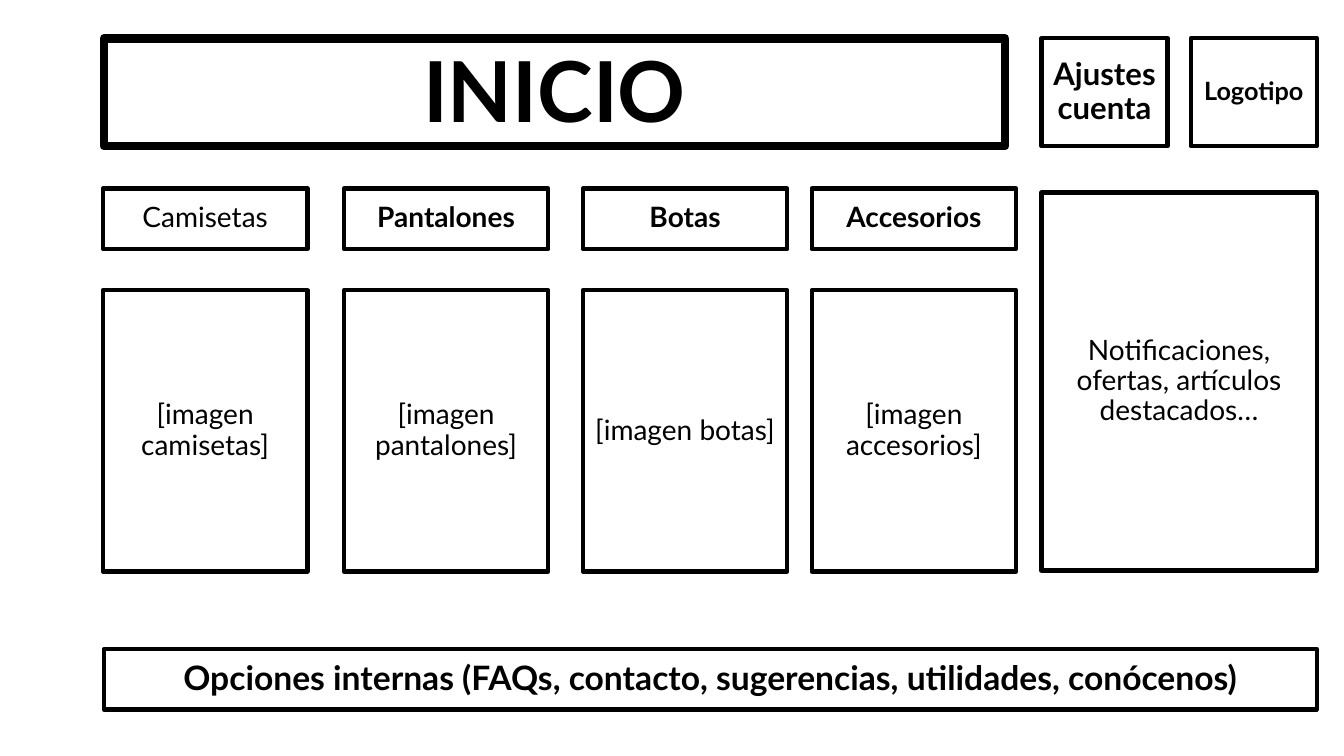
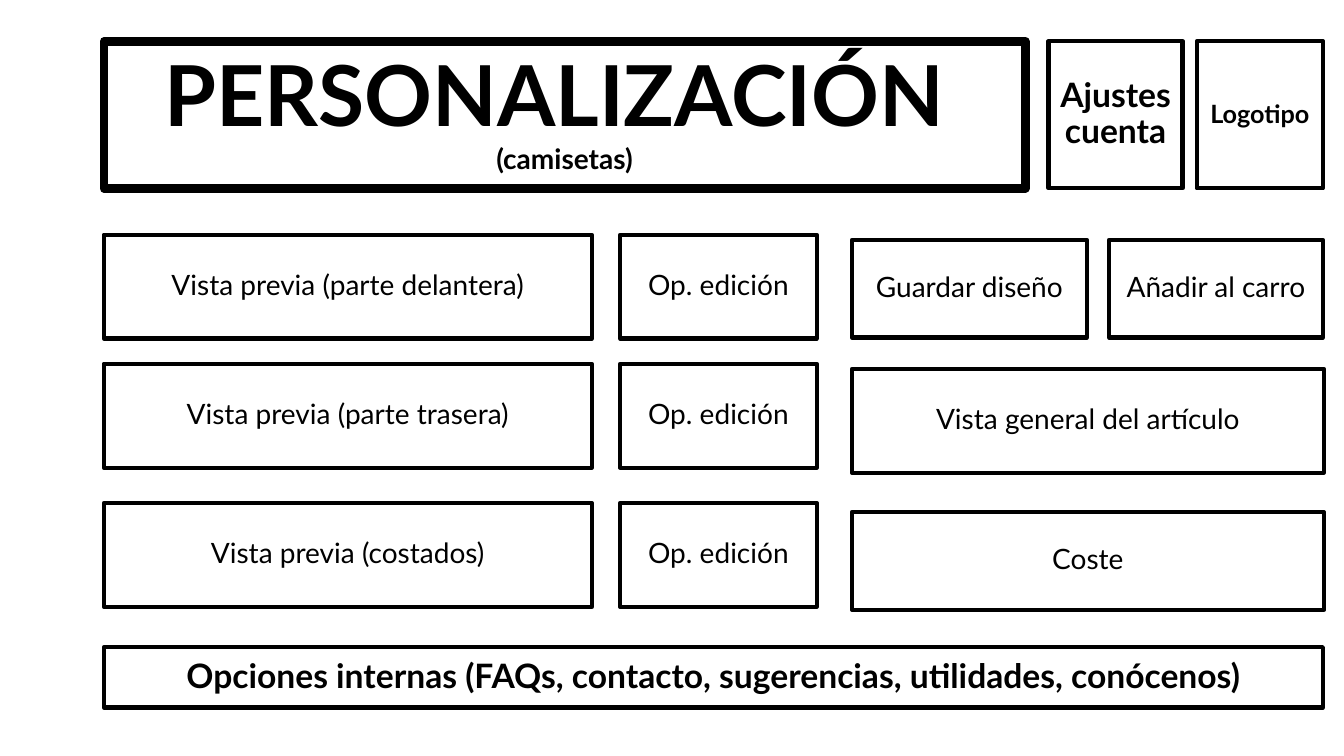
from typing import NamedTuple

from pptx import Presentation
from pptx.dml.color import RGBColor
from pptx.enum.shapes import MSO_SHAPE as Preset
from pptx.enum.text import MSO_ANCHOR as Anchor, MSO_AUTO_SIZE as AutoSize, PP_ALIGN as Align
from pptx.util import Inches, Pt

BLACK = RGBColor(0x00, 0x00, 0x00)
WHITE = RGBColor(0xFF, 0xFF, 0xFF)
FONT = "Lato"
TITLE_SIZE, BODY_SIZE, FOOTER_SIZE = 60, 20, 24
TITLE_BORDER, BOX_BORDER = 6, 3
LEFT_MARGIN = 1.03
FOOTER_TEXT = "Opciones internas (FAQs, contacto, sugerencias, utilidades, conócenos)"


class Span(NamedTuple):
    """A column or row of the grid: start and length in inches."""
    start: float
    length: float


class Label(NamedTuple):
    text: str
    size: float = BODY_SIZE
    bold: bool = False


class Box(NamedTuple):
    column: Span
    row: Span
    label: Label


class Header(NamedTuple):
    row: Span
    title_width: float
    title: list[Label]
    anchor: Anchor
    account_column: Span
    account_size: float
    logo_column: Span


class Product(NamedTuple):
    name: str
    bold: bool
    image: str


def place(shape, column: Span, row: Span, border: float) -> None:
    """Put a shape on the grid and give it its border."""
    shape.left, shape.width = Inches(column.start), Inches(column.length)
    shape.top, shape.height = Inches(row.start), Inches(row.length)
    shape.line.color.rgb = BLACK
    shape.line.width = Pt(border)


def write(shape, labels: list[Label], anchor: Anchor, space_before: float) -> None:
    """Write one centred paragraph, with a line per label."""
    frame = shape.text_frame
    frame.word_wrap = True
    frame.auto_size = AutoSize.NONE
    frame.vertical_anchor = anchor
    paragraph = frame.paragraphs[0]
    paragraph.alignment = Align.CENTER
    paragraph.line_spacing = 0.9
    paragraph.space_before = Pt(space_before)
    for index, label in enumerate(labels):
        if index:
            paragraph.add_line_break()
        run = paragraph.add_run()
        run.text = label.text
        run.font.name = FONT
        run.font.size = Pt(label.size)
        run.font.bold = label.bold
        run.font.color.rgb = BLACK


def draw_box(slide, box: Box) -> None:
    shape = slide.shapes.add_shape(Preset.RECTANGLE, 0, 0, 0, 0)
    place(shape, box.column, box.row, BOX_BORDER)
    shape.shadow.inherit = False
    shape.fill.background()
    write(shape, [box.label], Anchor.MIDDLE, space_before=10)


def add_screen(presentation, header: Header, footer_top: float, boxes: list[Box]) -> None:
    """Add a wireframe: title, account and logo boxes, content, footer band."""
    slide = presentation.slides.add_slide(presentation.slide_layouts.get_by_name("Title Only"))
    title = slide.shapes.title
    place(title, Span(LEFT_MARGIN, header.title_width), header.row, TITLE_BORDER)
    title.fill.solid()
    title.fill.fore_color.rgb = WHITE
    write(title, header.title, header.anchor, space_before=0)

    right_edge = header.logo_column.start + header.logo_column.length
    frame_boxes = [
        Box(header.account_column, header.row, Label("Ajustes cuenta", header.account_size, True)),
        Box(header.logo_column, header.row, Label("Logotipo", 18, True)),
        Box(Span(LEFT_MARGIN, right_edge - LEFT_MARGIN), Span(footer_top, 0.6),
            Label(FOOTER_TEXT, FOOTER_SIZE, True)),
    ]
    for box in frame_boxes + boxes:
        draw_box(slide, box)


def add_home(presentation) -> None:
    # Product columns: a button above an image area
    columns = [Span(left, 2.03) for left in (1.02, 3.41, 5.78, 8.05)]
    button_row, image_row = Span(1.87, 0.6), Span(2.88, 2.79)
    products = [
        Product("Camisetas", False, "[imagen camisetas]"),
        Product("Pantalones", True, "[imagen pantalones]"),
        Product("Botas", True, "[imagen botas]"),
        Product("Accesorios", True, "[imagen accesorios]"),
    ]
    boxes = []
    for column, product in zip(columns, products):
        boxes.append(Box(column, button_row, Label(product.name, bold=product.bold)))
        boxes.append(Box(column, image_row, Label(product.image)))

    # News panel
    boxes.append(Box(Span(10.33, 2.73), Span(1.91, 3.75),
                     Label("Notificaciones, ofertas, artículos destacados…")))

    header = Header(Span(0.38, 1.07), 8.94, [Label("INICIO", TITLE_SIZE, True)],
                    Anchor.BOTTOM, Span(10.33, 1.25), 22.2, Span(11.81, 1.25))
    add_screen(presentation, header, 6.44, boxes)


def add_customization(presentation) -> None:
    # Previews, each with its editing options
    preview_column, edit_column = Span(LEFT_MARGIN, 4.84), Span(6.15, 1.95)
    preview_rows = [Span(top, 1.03) for top in (2.33, 3.61, 4.99)]
    boxes = []
    for row, part in zip(preview_rows, ("parte delantera", "parte trasera", "costados")):
        boxes.append(Box(preview_column, row, Label(f"Vista previa ({part})")))
        boxes.append(Box(edit_column, row, Label("Op. edición")))

    # Order panel
    order_column, action_row = Span(8.45, 4.68), Span(2.38, 0.97)
    boxes += [
        Box(Span(8.45, 2.33), action_row, Label("Guardar diseño")),
        Box(Span(11, 2.12), action_row, Label("Añadir al carro")),
        Box(order_column, Span(3.66, 1.03), Label("Vista general del artículo")),
        Box(order_column, Span(5.08, 0.97), Label("Coste")),
    ]

    title = [Label("PERSONALIZACIÓN ", TITLE_SIZE, True), Label("(camisetas)", BODY_SIZE, True)]
    header = Header(Span(0.41, 1.46), 9.14, title,
                    Anchor.MIDDLE, Span(10.4, 1.33), 24, Span(11.87, 1.25))
    add_screen(presentation, header, 6.42, boxes)


def main() -> None:
    presentation = Presentation()
    presentation.slide_width, presentation.slide_height = Inches(13.33), Inches(7.5)
    add_home(presentation)
    add_customization(presentation)
    presentation.save("out.pptx")


if __name__ == "__main__":
    main()
